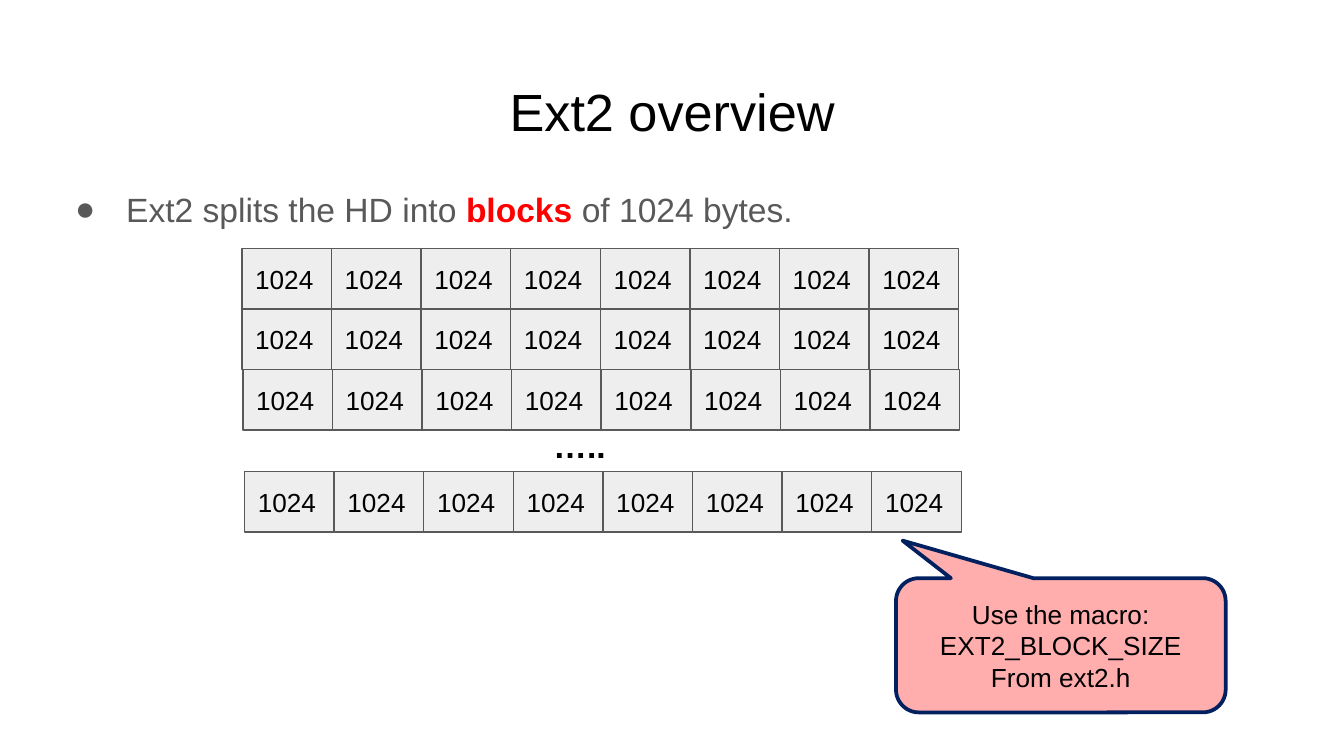
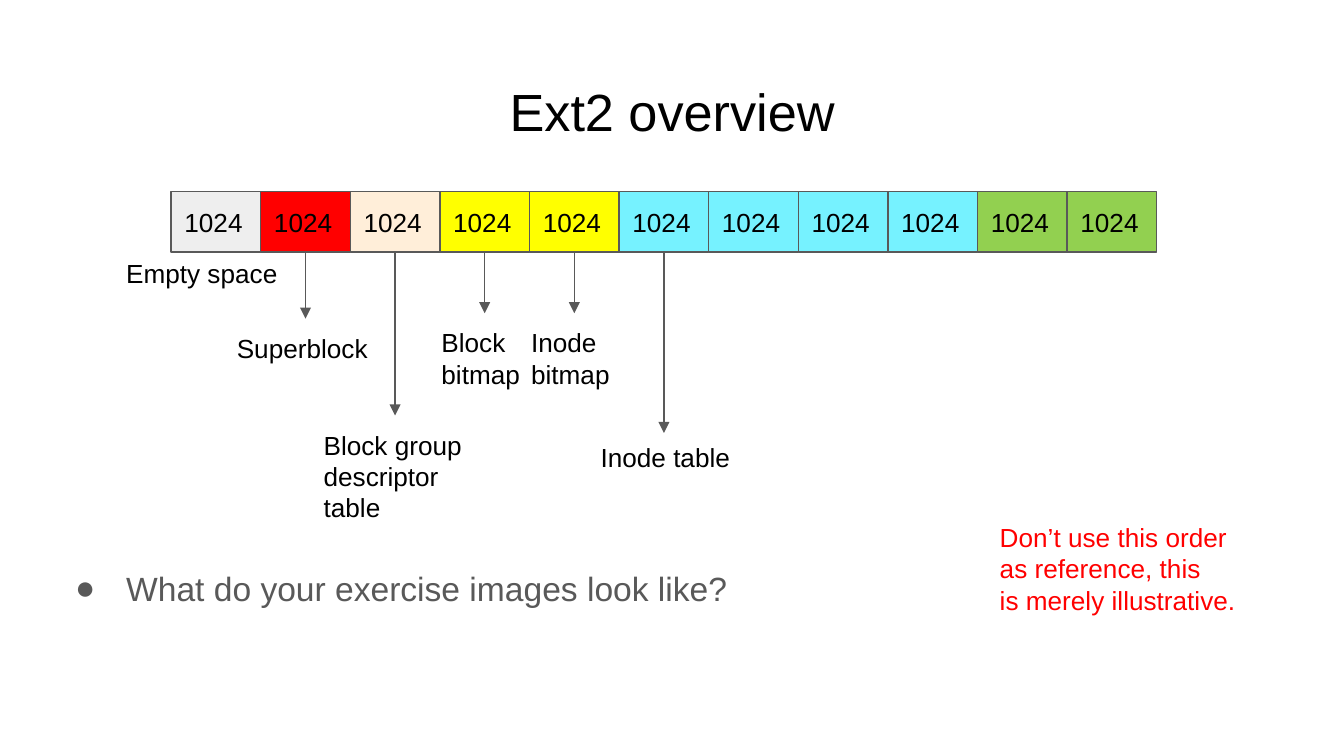
import dataclasses
import typing

import lxml.etree
import pptx
import pptx.dml.color
import pptx.enum.shapes
import pptx.enum.text
import pptx.oxml.ns
import pptx.util

COLS, ROWS = 15, 12.5
WIDTH, HEIGHT = pptx.util.Inches(10), pptx.util.Inches(5.625)
FACE = "Arial"
BLACK, GREY, RED, PALE = "000000", "595959", "FF0000", "EEEEEE"
CREAM, YELLOW, CYAN, GREEN, NAVY = "FFEED9", "FFFF00", "76F2FF", "92D050", "002060"
SHAPE = pptx.enum.shapes.MSO_SHAPE
LEFT = pptx.enum.text.PP_ALIGN.LEFT
CENTER = pptx.enum.text.PP_ALIGN.CENTER
TOP = pptx.enum.text.MSO_ANCHOR.TOP
MIDDLE = pptx.enum.text.MSO_ANCHOR.MIDDLE


@dataclasses.dataclass(frozen=True)
class Box:
    col: float
    row: float
    wide: float
    high: float

    def place(self) -> tuple[int, int, int, int]:
        return across(self.col), down(self.row), across(self.wide), down(self.high)


@dataclasses.dataclass(frozen=True)
class Run:
    text: str
    color: str = BLACK
    bold: bool = False


@dataclasses.dataclass(frozen=True)
class Style:
    size: float = 14
    align: typing.Any = LEFT
    anchor: typing.Any = TOP
    inset: float = 0.1


@dataclasses.dataclass(frozen=True)
class Label:
    block: int
    text: str
    row: float
    wide: float
    shift: float = 0
    tip: typing.Optional[float] = None


TITLE = Style(size=28, align=CENTER)
BODY = Style(size=18)
PLAIN = Style()
CELL = Style(anchor=MIDDLE)
DOTS = Style(size=18, inset=0.05)
CALL = Style(align=CENTER, anchor=MIDDLE, inset=0.05)

GRID = [(2.7, 4.11), (2.7, 5.11), (2.71, 6.11), (2.73, 7.8)]
DISK = [PALE, RED, CREAM] + [YELLOW] * 2 + [CYAN] * 4 + [GREEN] * 2
LABELS = [
    Label(1, "Superblock", 5.27, 1.83),
    Label(2, "Block group descriptor table", 6.87, 1.89),
    Label(3, "Block bitmap", 5.18, 1.26),
    Label(4, "Inode bitmap", 5.18, 1.26),
    Label(5, "Inode table", 7.07, 1.89, shift=0.09, tip=7.16),
]


def across(cols: float) -> int:
    return round(WIDTH * cols / COLS)


def down(rows: float) -> int:
    return round(HEIGHT * rows / ROWS)


def paint(code: str) -> pptx.dml.color.RGBColor:
    return pptx.dml.color.RGBColor.from_string(code)


def apply(item: typing.Any, values: dict[str, typing.Any]) -> None:
    for name, value in values.items():
        setattr(item, name, value)


def add_tag(node: typing.Any, name: str, **values: str) -> typing.Any:
    return lxml.etree.SubElement(node, pptx.oxml.ns.qn(name), values)


def write(shape: typing.Any, lines: list[list[Run]], style: Style) -> None:
    frame = shape.text_frame
    side, edge = pptx.util.Inches(0.1), pptx.util.Inches(style.inset)
    apply(frame, {
        "word_wrap": True, "vertical_anchor": style.anchor,
        "margin_left": side, "margin_right": side,
        "margin_top": edge, "margin_bottom": edge,
    })
    for place, line in enumerate(lines):
        para = frame.add_paragraph() if place else frame.paragraphs[0]
        para.alignment = style.align
        for part in line:
            run = para.add_run()
            run.text = part.text
            apply(run.font, {"name": FACE, "size": pptx.util.Pt(style.size), "bold": part.bold})
            run.font.color.rgb = paint(part.color)


def add_text(slide: typing.Any, box: Box, lines: list[list[Run]], style: Style = PLAIN) -> typing.Any:
    shape = slide.shapes.add_textbox(*box.place())
    write(shape, lines, style)
    return shape


def add_point(slide: typing.Any, row: float, high: float, runs: list[Run], after: float = 0) -> None:
    shape = add_text(slide, Box(0.51, row, 13.98, high), [runs], BODY)
    para = shape.text_frame.paragraphs[0]
    apply(para, {"line_spacing": 1.15, "space_after": pptx.util.Pt(after)})
    props = para._p.get_or_add_pPr()
    props.set("marL", str(pptx.util.Inches(0.5)))
    props.set("indent", str(pptx.util.Inches(-0.38)))
    add_tag(add_tag(props, "a:buClr"), "a:srgbClr", val=GREY)
    add_tag(props, "a:buFont", typeface=FACE)
    add_tag(props, "a:buChar", char="●")


def add_form(slide: typing.Any, kind: typing.Any, box: Box, fill: str, line: str, width: float) -> typing.Any:
    shape = slide.shapes.add_shape(kind, *box.place())
    shape.shadow.inherit = False
    shape.fill.solid()
    shape.fill.fore_color.rgb = paint(fill)
    shape.line.color.rgb = paint(line)
    shape.line.width = pptx.util.Pt(width)
    return shape


def add_blocks(slide: typing.Any, col: float, row: float, fills: list[str]) -> list[typing.Any]:
    blocks = []
    for step, fill in enumerate(fills):
        block = add_form(slide, SHAPE.RECTANGLE, Box(col + step, row, 1, 1), fill, GREY, 0.75)
        write(block, [[Run("1024")]], CELL)
        blocks.append(block)
    return blocks


def add_label(slide: typing.Any, label: Label, block: typing.Any, start: float) -> None:
    mid = start + label.block + 0.5
    box = Box(mid - label.wide / 2 + label.shift, label.row, label.wide, 1.11)
    text = add_text(slide, box, [[Run(label.text)]])
    tip = label.row if label.tip is None else label.tip
    kind = pptx.enum.shapes.MSO_CONNECTOR.STRAIGHT
    arrow = slide.shapes.add_connector(kind, across(mid), block.top + block.height, across(mid), down(tip))
    arrow.begin_connect(block, 2)
    if label.tip is None:
        arrow.end_connect(text, 0)
    arrow.line.color.rgb = paint(GREY)
    arrow.line.width = pptx.util.Pt(0.75)
    props = arrow._element.spPr
    add_tag(props.find(pptx.oxml.ns.qn("a:ln")), "a:tailEnd", type="triangle")
    add_tag(props, "a:effectLst")


def add_callout(slide: typing.Any) -> None:
    shape = add_form(slide, SHAPE.ROUNDED_RECTANGULAR_CALLOUT, Box(10, 9.56, 3.68, 2.22), RED, NAVY, 2)
    for place, value in enumerate((-0.48, -0.78, 0.17)):
        shape.adjustments[place] = value
    tint = shape._element.spPr.find(pptx.oxml.ns.qn("a:solidFill"))[0]
    add_tag(tint, "a:alpha", val="32000")
    lines = ["Use the macro:", "EXT2_BLOCK_SIZE", "From ext2.h"]
    write(shape, [[Run(line)] for line in lines], CALL)


def add_page(deck: typing.Any) -> typing.Any:
    slide = deck.slides.add_slide(deck.slide_layouts[6])
    add_text(slide, Box(0.51, 1.09, 13.98, 1.4), [[Run("Ext2 overview")]], TITLE)
    return slide


def draw_split(deck: typing.Any) -> None:
    slide = add_page(deck)
    add_point(slide, 2.8, 8.31, [
        Run("Ext2 splits the HD into ", GREY), Run("blocks", RED, True), Run(" of 1024 bytes.", GREY),
    ])
    for col, row in GRID:
        add_blocks(slide, col, row, [PALE] * 8)
    add_callout(slide)
    add_text(slide, Box(6.03, 6.91, 2.85, 0.89), [[Run("…..", bold=True)]], DOTS)


def draw_disk(deck: typing.Any) -> None:
    slide = add_page(deck)
    add_point(slide, 9.07, 1.29, [Run("What do your exercise images look like?", GREY)], 16)
    start = 1.91
    blocks = add_blocks(slide, start, 3.17, DISK)
    add_text(slide, Box(1.26, 4.04, 2.27, 1.11), [[Run("Empty space")]])
    for label in LABELS:
        add_label(slide, label, blocks[label.block], start)
    notes = ["Don’t use this order as reference, this", "is merely illustrative."]
    add_text(slide, Box(11.01, 8.4, 2.95, 1.11), [[Run(note, RED)] for note in notes])


def main() -> None:
    deck = pptx.Presentation()
    apply(deck, {"slide_width": WIDTH, "slide_height": HEIGHT})
    draw_split(deck)
    draw_disk(deck)
    deck.save("out.pptx")


if __name__ == "__main__":
    main()
